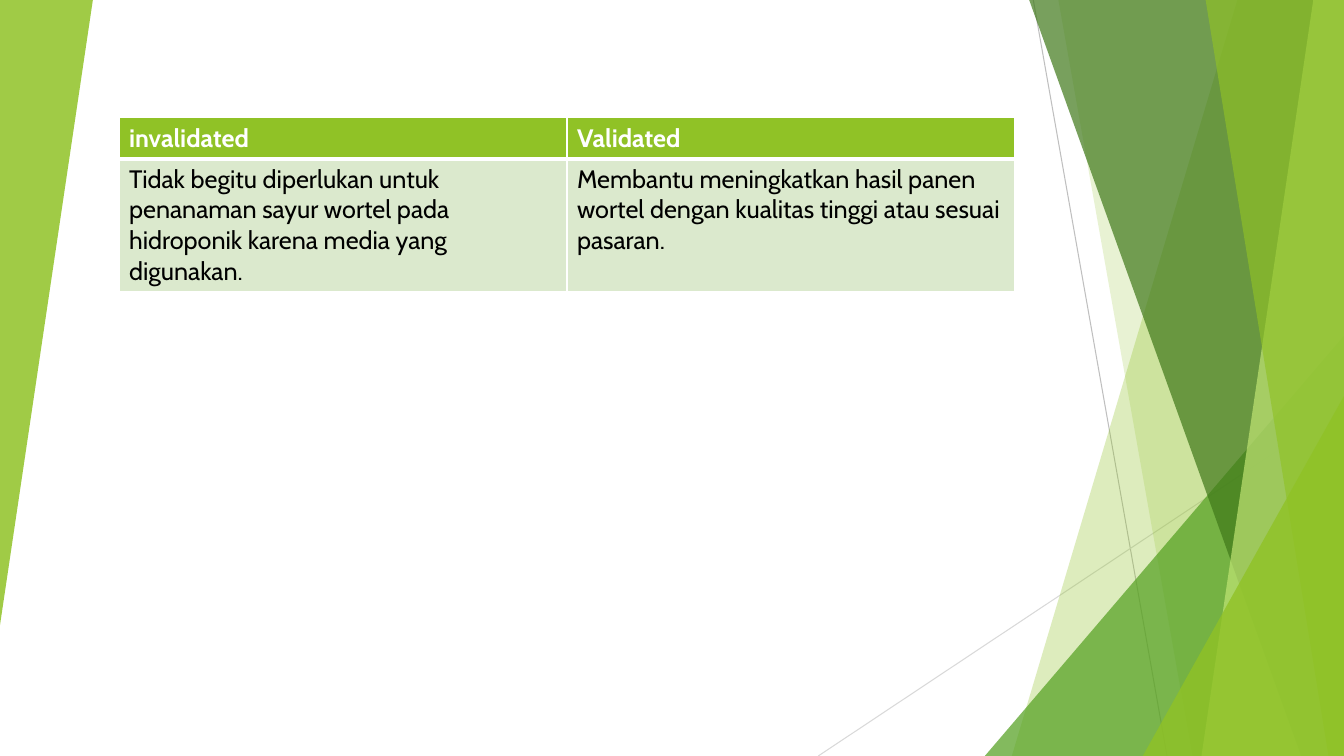
from dataclasses import dataclass

from lxml import etree
from pptx import Presentation
from pptx.dml.color import RGBColor
from pptx.enum.shapes import MSO_CONNECTOR, MSO_SHAPE
from pptx.oxml.ns import qn
from pptx.util import Cm, Pt

STRAIGHT = MSO_CONNECTOR.STRAIGHT
TRIANGLE = MSO_SHAPE.ISOSCELES_TRIANGLE
WIDTH, HEIGHT = 33.87, 19.05
BLEED = -0.02


@dataclass(frozen=True)
class Theme:
    """Colours, font and sizes of the slide."""
    lime: str = "90C226"
    leaf: str = "54A021"
    forest: str = "3F7819"
    pale_lime: str = "C0E474"
    body_fill: str = "DBE9CD"
    white: str = "FFFFFF"
    black: str = "000000"
    grey: str = "BFBFBF"
    light_grey: str = "D9D9D9"
    font: str = "Cabin"
    text_size: float = 18
    hairline: float = 0.75
    cell_line: float = 1
    header_line: float = 3


class SlideBuilder:
    """Draws styled elements on the current slide."""

    def __init__(self, slide, theme):
        self.slide = slide
        self.theme = theme

    def paint(self, shape, color, opacity):
        """Give a shape a translucent fill without line or shadow."""
        shape.shadow.inherit = False
        shape.line.fill.background()
        shape.fill.solid()
        shape.fill.fore_color.rgb = RGBColor.from_string(color)
        tint = shape.fill._xPr.find(".//" + qn("a:srgbClr"))
        etree.SubElement(tint, qn("a:alpha"), val=str(opacity * 1000))

    def ray(self, start, end, color):
        """Draw a thin straight line."""
        ray = self.slide.shapes.add_connector(
            STRAIGHT, *(Cm(value) for value in (*start, *end)))
        ray.line.color.rgb = RGBColor.from_string(color)
        ray.line.width = Pt(self.theme.hairline)
        etree.SubElement(ray._element.spPr, qn("a:effectLst"))

    def band(self, top_left, bottom_left, color, opacity):
        """Draw a slanted band that reaches the right edge."""
        corners = [(top_left, BLEED), (WIDTH, BLEED),
                   (WIDTH, HEIGHT), (bottom_left, HEIGHT)]
        points = [(Cm(x), Cm(y)) for x, y in corners]
        outline = self.slide.shapes.build_freeform(*points[0], scale=1.0)
        outline.add_line_segments(points[1:], close=True)
        self.paint(outline.convert_to_shape(), color, opacity)

    def wedge(self, left, top, width, height, color, opacity, rotation=0):
        """Draw a right-angled triangle."""
        wedge = self.slide.shapes.add_shape(
            TRIANGLE, Cm(left), Cm(top), Cm(width), Cm(height))
        wedge.adjustments[0] = 1
        wedge.rotation = rotation
        self.paint(wedge, color, opacity)

    def cell_borders(self, cell, top, bottom):
        """Draw white borders around a cell."""
        side = self.theme.cell_line
        properties = cell._tc.get_or_add_tcPr()
        edges = (("L", side), ("R", side), ("T", top), ("B", bottom))
        for position, (edge, width) in enumerate(edges):
            border = etree.Element(qn(f"a:ln{edge}"), w=str(Pt(width)))
            fill = etree.SubElement(border, qn("a:solidFill"))
            etree.SubElement(fill, qn("a:srgbClr"), val=self.theme.white)
            properties.insert(position, border)

    def table(self, left, top, column_width, row_heights, rows):
        """Draw a table with a header row."""
        theme = self.theme
        table = self.slide.shapes.add_table(
            len(rows), len(rows[0]), Cm(left), Cm(top),
            Cm(column_width * len(rows[0])), Cm(sum(row_heights))).table
        for column in table.columns:
            column.width = Cm(column_width)
        for index, texts in enumerate(rows):
            header = index == 0
            table.rows[index].height = Cm(row_heights[index])
            for cell, text in zip(table.rows[index].cells, texts):
                cell.text = text
                cell.fill.solid()
                cell.fill.fore_color.rgb = RGBColor.from_string(
                    theme.lime if header else theme.body_fill)
                font = cell.text_frame.paragraphs[0].font
                font.name = theme.font
                font.size = Pt(theme.text_size)
                font.bold = header
                font.color.rgb = RGBColor.from_string(
                    theme.white if header else theme.black)
                self.cell_borders(
                    cell,
                    theme.header_line if index == 1 else theme.cell_line,
                    theme.header_line if header else theme.cell_line)


def main():
    """Build and save the slide."""
    deck = Presentation()
    deck.slide_width, deck.slide_height = Cm(WIDTH), Cm(HEIGHT)
    theme = Theme()
    builder = SlideBuilder(deck.slides.add_slide(deck.slide_layouts[6]), theme)

    builder.ray((26.04, 0), (29.41, HEIGHT), theme.grey)
    builder.ray((WIDTH, 10.24), (20.62, HEIGHT), theme.light_grey)
    builder.band(31.19, 25.5, theme.lime, 30)
    builder.band(26.67, 30.05, theme.lime, 20)
    builder.wedge(24.82, 8.46, 9.05, 10.59, theme.leaf, 72)
    builder.band(25.93, 32.79, theme.forest, 70)
    builder.band(33.1, 30.28, theme.pale_lime, 70)
    builder.band(30.38, 33.48, theme.lime, 65)
    builder.wedge(28.8, 9.98, 5.07, 9.07, theme.lime, 80)
    builder.wedge(0, 0, 2.34, 15.75, theme.lime, 85, rotation=180)

    builder.table(3, 2.97, 11.29, (1.03, 3.31), [
        ("invalidated", "Validated"),
        ("Tidak begitu diperlukan untuk penanaman sayur wortel pada "
         "hidroponik karena media yang digunakan.",
         "Membantu meningkatkan hasil panen wortel dengan kualitas tinggi "
         "atau sesuai pasaran."),
    ])
    deck.save("out.pptx")


if __name__ == "__main__":
    main()
